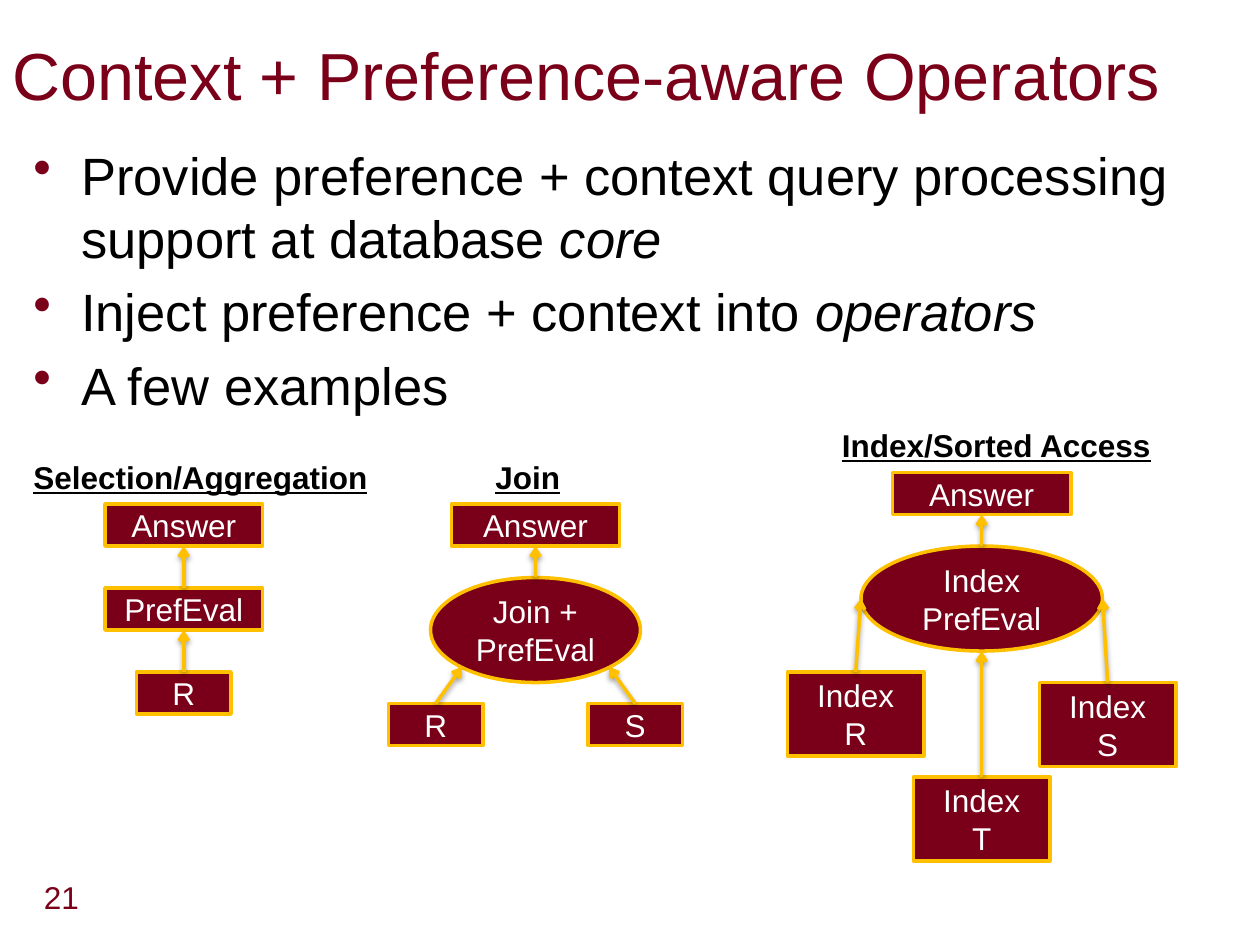
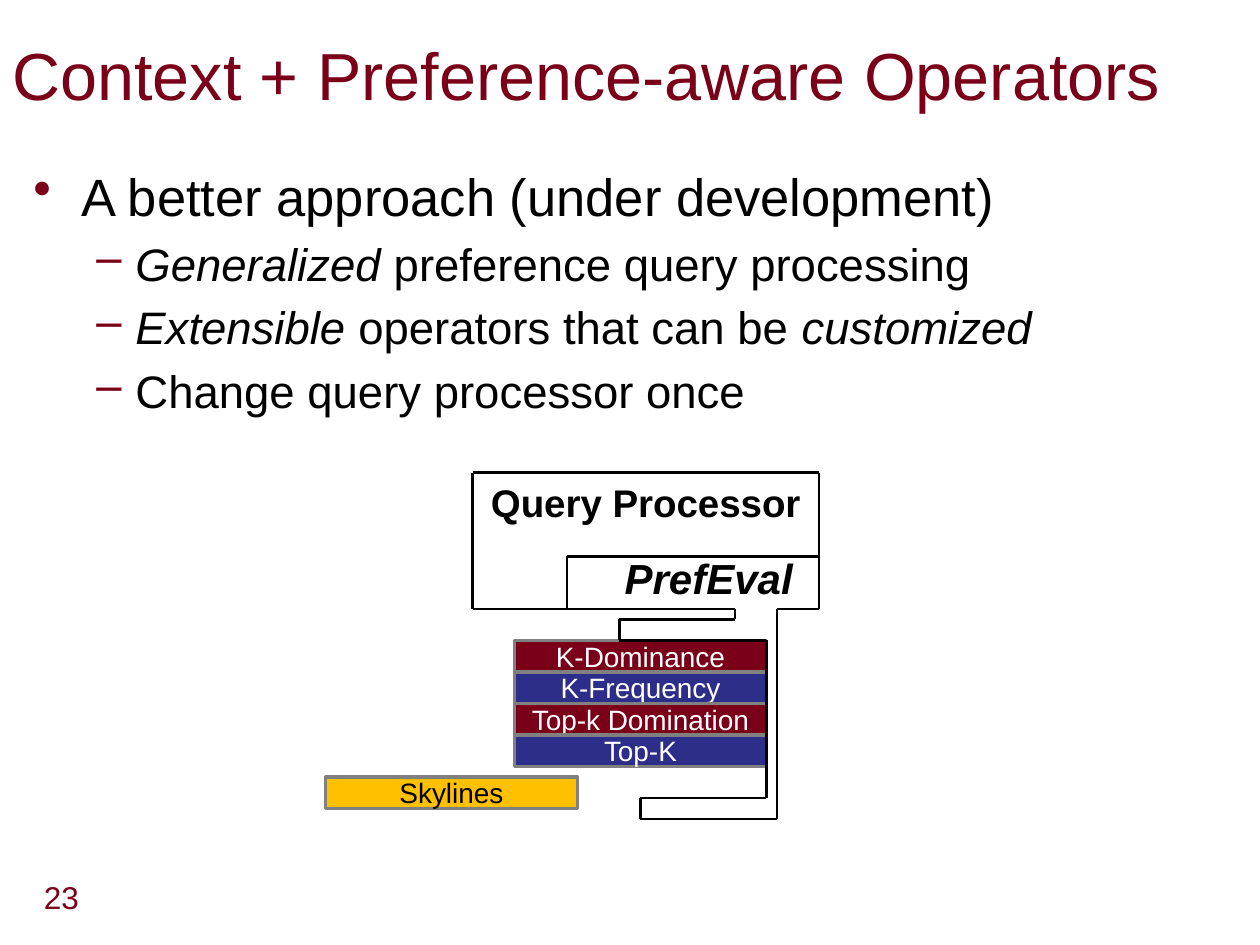
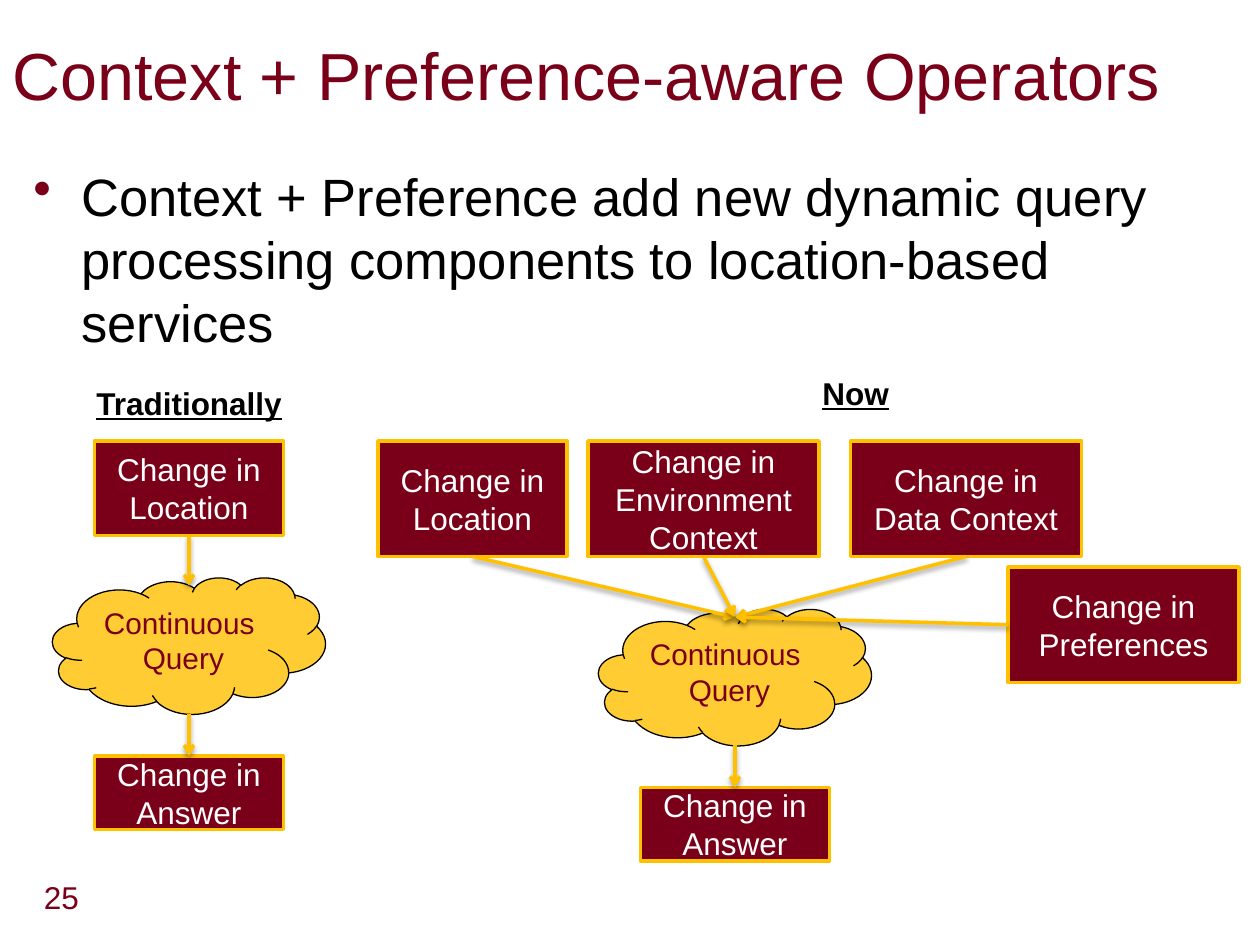
"""Build three slides on context- and preference-aware operators."""
from dataclasses import dataclass
from itertools import pairwise

from lxml.etree import SubElement
from pptx import Presentation
from pptx.dml.color import RGBColor
from pptx.enum.shapes import MSO_CONNECTOR as Connector, MSO_SHAPE as Shape
from pptx.enum.text import MSO_ANCHOR as Anchor, PP_ALIGN as Align
from pptx.oxml.ns import qn
from pptx.util import Inches, Pt


@dataclass(frozen=True)
class Theme:
    """Colours, type sizes and line widths shared by the slides."""
    font: str = "Arial"
    maroon: str = "7A0019"
    gold: str = "FFC000"
    cloud: str = "FFCC33"
    blue: str = "2D2D8A"
    grey: str = "808080"
    black: str = "000000"
    white: str = "FFFFFF"
    title: int = 38
    bullets: tuple = (30, 26)
    prefeval: int = 24
    processor: int = 22
    label: int = 18
    query: int = 17
    bar: int = 16
    border: float = 2
    outline: float = 1.25
    hairline: float = 0.75


THEME = Theme()
WIDTH, HEIGHT = Inches(10), Inches(7.5)
COLUMNS, ROWS = 120, 90
BULLETS = (("•", 0.38, 0.38), ("–", 0.81, 0.31))
TOP, LEFT, BOTTOM = 0, 1, 2


def place(column, row):
    """Turn a grid position into slide lengths."""
    return round(WIDTH * column / COLUMNS), round(HEIGHT * row / ROWS)


def color(code):
    """Turn a hex code into a colour."""
    return RGBColor.from_string(code)


def style(para, size, ink, bold=False, italic=None, underline=False):
    """Set the font of a whole paragraph."""
    font = para.font
    font.name, font.size = THEME.font, Pt(size)
    font.bold, font.italic, font.underline = bold, italic, underline
    font.color.rgb = color(ink)


def add_text(page, cells, text, size, ink=THEME.black, align=Align.LEFT,
             anchor=Anchor.TOP, wrap=True, **look):
    """Add a one-paragraph text box."""
    box = page.shapes.add_textbox(*place(*cells[:2]), *place(*cells[2:]))
    frame = box.text_frame
    frame.word_wrap, frame.vertical_anchor = wrap, anchor
    para = frame.paragraphs[0]
    para.text, para.alignment = text, align
    style(para, size, ink, **look)


def add_heading(page, cells, text, align=Align.LEFT):
    """Add the underlined heading of a diagram."""
    add_text(page, cells, text, THEME.label, align=align, bold=True, underline=True)


def add_bullet(para, level):
    """Give a paragraph the hanging bullet of its level."""
    mark, margin, hang = BULLETS[level]
    props = para._p.get_or_add_pPr()
    props.set("marL", str(Inches(margin)))
    props.set("indent", str(-Inches(hang)))
    SubElement(SubElement(props, qn("a:buClr")), qn("a:srgbClr"), val=THEME.maroon)
    SubElement(props, qn("a:buChar"), char=mark)


def add_body(page, cells, items):
    """Add bullets given as (level, text), with italics between asterisks."""
    box = page.shapes.add_textbox(*place(*cells[:2]), *place(*cells[2:]))
    frame = box.text_frame
    frame.word_wrap = True
    for index, (level, text) in enumerate(items):
        para = frame.add_paragraph() if index else frame.paragraphs[0]
        size = THEME.bullets[level]
        para.level = level
        add_bullet(para, level)
        para.space_before = Pt(size * 0.2)
        style(para, size, THEME.black)
        for part, words in enumerate(text.split("*")):
            if words:
                span = para.add_run()
                span.text, span.font.italic = words, part % 2 == 1


def add_node(page, cells, text, kind=Shape.RECTANGLE, fill=THEME.maroon,
             border=THEME.gold, width=THEME.border, size=THEME.label,
             ink=THEME.white, anchor=Anchor.MIDDLE):
    """Add a filled shape with centred text."""
    node = page.shapes.add_shape(kind, *place(*cells[:2]), *place(*cells[2:]))
    node.shadow.inherit = False
    node.fill.solid()
    node.fill.fore_color.rgb = color(fill)
    node.line.color.rgb, node.line.width = color(border), Pt(width)
    frame = node.text_frame
    frame.word_wrap, frame.vertical_anchor = True, anchor
    frame.text = text
    for para in frame.paragraphs:
        para.alignment = Align.CENTER
        style(para, size, ink)
    return node


def add_cloud(page, column, row):
    """Add the continuous query cloud."""
    return add_node(page, (column, row, 26, 13), "Continuous\n Query", Shape.CLOUD,
                    THEME.cloud, THEME.black, THEME.hairline, THEME.query,
                    THEME.maroon, Anchor.TOP)


def add_line(page, start, end, ink, width):
    """Add a straight line between two points and return it with its effects."""
    line = page.shapes.add_connector(Connector.STRAIGHT, *start, *end)
    line.line.color.rgb, line.line.width = color(ink), Pt(width)
    return line, SubElement(line._element.spPr, qn("a:effectLst"))


def spot(node, across, down):
    """Find the point at given shares of a shape's width and height."""
    return (round(node.left + node.width * across),
            round(node.top + node.height * down))


def add_arrow(page, source, target, side=TOP, target_side=BOTTOM, point=None):
    """Add an arrow from a side of a box, or a point, to a box or point."""
    is_point = isinstance(source, tuple)
    start = source if is_point else (source.left, source.top)
    end = point or (target.left, target.top)
    arrow, effects = add_line(page, start, end, THEME.gold, THEME.border)
    if not is_point:
        arrow.begin_connect(source, side)
    if not point:
        arrow.end_connect(target, target_side)
    SubElement(arrow.line._get_or_add_ln(), qn("a:tailEnd"), type="arrow")
    shadow = SubElement(effects, qn("a:outerShdw"), blurRad=str(Pt(3.1)),
                        dist=str(Pt(1.6)), dir="5400000", rotWithShape="0")
    shade = SubElement(shadow, qn("a:srgbClr"), val=THEME.black)
    SubElement(shade, qn("a:alpha"), val="38000")


def add_page(deck, number):
    """Add a slide with the shared title and its number."""
    page = deck.slides.add_slide(deck.slide_layouts[6])
    add_text(page, (3, 83, 6, 5), str(number), THEME.label, THEME.maroon, wrap=False)
    add_text(page, (0, 0, 114, 14), "Context + Preference-aware Operators",
             THEME.title, THEME.maroon, anchor=Anchor.MIDDLE)
    return page


def draw_selection(page):
    """Draw the selection and aggregation chain."""
    add_heading(page, (2, 43, 35, 5), "Selection/Aggregation")
    chain = [add_node(page, (column, 48 + 8 * step, width, 4), text)
             for step, (column, width, text) in enumerate(
                 ((10, 15, "Answer"), (10, 15, "PrefEval"), (13, 9, "R")))]
    for upper, lower in pairwise(chain):
        add_arrow(page, lower, upper)


def draw_operator(page, heading, answer, operator, inputs):
    """Draw inputs that feed an elliptic operator and its answer."""
    add_heading(page, *heading)
    ellipse = add_node(page, *operator, kind=Shape.OVAL)
    result = add_node(page, answer, "Answer")
    add_arrow(page, spot(ellipse, 0.5, 0), result)
    for cells, text, across, down in inputs:
        add_arrow(page, add_node(page, cells, text), ellipse,
                  point=spot(ellipse, across, down))


def draw_processor(page):
    """Draw the query processor, its slot and the operators beside it."""
    bars = ((49, 61, "K-Dominance", THEME.maroon, THEME.white),
            (49, 64, "K-Frequency", THEME.blue, THEME.white),
            (49, 67, "Top-k Domination", THEME.maroon, THEME.white),
            (49, 70, "Top-K", THEME.blue, THEME.white),
            (31, 74, "Skylines", THEME.gold, THEME.black))
    for column, row, text, fill, ink in bars:
        add_node(page, (column, row, 24, 3), text, fill=fill, border=THEME.grey,
                 size=THEME.bar, ink=ink)
    frame = ((45, 58), (45, 45), (78, 45), (78, 53), (78, 58), (74, 58), (74, 78),
             (61, 78), (61, 76), (73, 76), (73, 61), (59, 61), (59, 59), (70, 59),
             (70, 58), (54, 58), (45, 58))
    slot = ((54, 58), (54, 53), (78, 53))
    for corners in (frame, slot):
        for start, end in pairwise(corners):
            add_line(page, place(*start), place(*end), THEME.black, THEME.outline)
    add_text(page, (45, 45, 33, 5.6), "Query Processor", THEME.processor,
             align=Align.CENTER, bold=True)
    add_text(page, (56, 52, 23, 6), "PrefEval", THEME.prefeval,
             align=Align.CENTER, bold=True, italic=True)


def draw_query(page, cloud_cells, answer_cells, changes):
    """Draw changes that feed a continuous query and its answer."""
    cloud = add_cloud(page, *cloud_cells)
    answer = add_node(page, (*answer_cells, 18, 7), "Change in Answer")
    add_arrow(page, spot(cloud, 0.5, 1), answer, target_side=TOP)
    for cells, subject, side in changes:
        change = add_node(page, cells, f"Change in {subject}")
        add_arrow(page, change, cloud, side, point=spot(cloud, 0.5, 0.06))


def build_examples(deck):
    """Build the slide of operator examples."""
    page = add_page(deck, 21)
    add_body(page, (2, 13, 116, 28), (
        (0, "Provide preference + context query processing support at database *core*"),
        (0, "Inject preference + context into *operators*"),
        (0, "A few examples")))
    draw_selection(page)
    draw_operator(page, ((46, 43, 10, 5), "Join"), (43, 48, 16, 4),
                  ((41, 55, 20, 10), "Join + PrefEval"),
                  (((37, 67, 9, 4), "R", 0.15, 0.85),
                   ((56, 67, 9, 4), "S", 0.85, 0.85)))
    draw_operator(page, ((79, 40, 33, 5), "Index/Sorted Access"), (85, 45, 17, 4),
                  ((82, 52, 23, 10), "Index\nPrefEval"),
                  (((75, 64, 13, 8), "Index\nR", 0, 0.5),
                   ((99, 65, 13, 8), "Index\nS", 1, 0.5),
                   ((87, 74, 13, 8), "Index\nT", 0.5, 1)))


def build_approach(deck):
    """Build the slide of the generalized query processor."""
    page = add_page(deck, 23)
    add_body(page, (2, 15, 116, 25), (
        (0, "A better approach (under development)"),
        (1, "*Generalized* preference query processing"),
        (1, "*Extensible* operators that can be *customized*"),
        (1, "Change query processor once")))
    draw_processor(page)


def build_dynamics(deck):
    """Build the slide that compares continuous queries."""
    page = add_page(deck, 25)
    add_body(page, (2, 15, 116, 25), (
        (0, "Context + Preference add new dynamic query processing components"
            " to location-based services"),))
    add_heading(page, (8, 36, 22, 5), "Traditionally")
    draw_query(page, (5, 55), (9, 72), (((9, 42, 18, 9), "Location", BOTTOM),))
    add_heading(page, (76, 35, 11, 5), "Now", Align.CENTER)
    draw_query(page, (57, 58), (61, 75), (
        ((36, 42, 18, 11), "Location", BOTTOM),
        ((56, 42, 22, 11), "Environment Context", BOTTOM),
        ((81, 42, 22, 11), "Data Context", BOTTOM),
        ((96, 54, 22, 11), "Preferences", LEFT)))


def main():
    """Build and save the deck."""
    deck = Presentation()
    deck.slide_width, deck.slide_height = WIDTH, HEIGHT
    for build in (build_examples, build_approach, build_dynamics):
        build(deck)
    deck.save("out.pptx")


if __name__ == "__main__":
    main()
